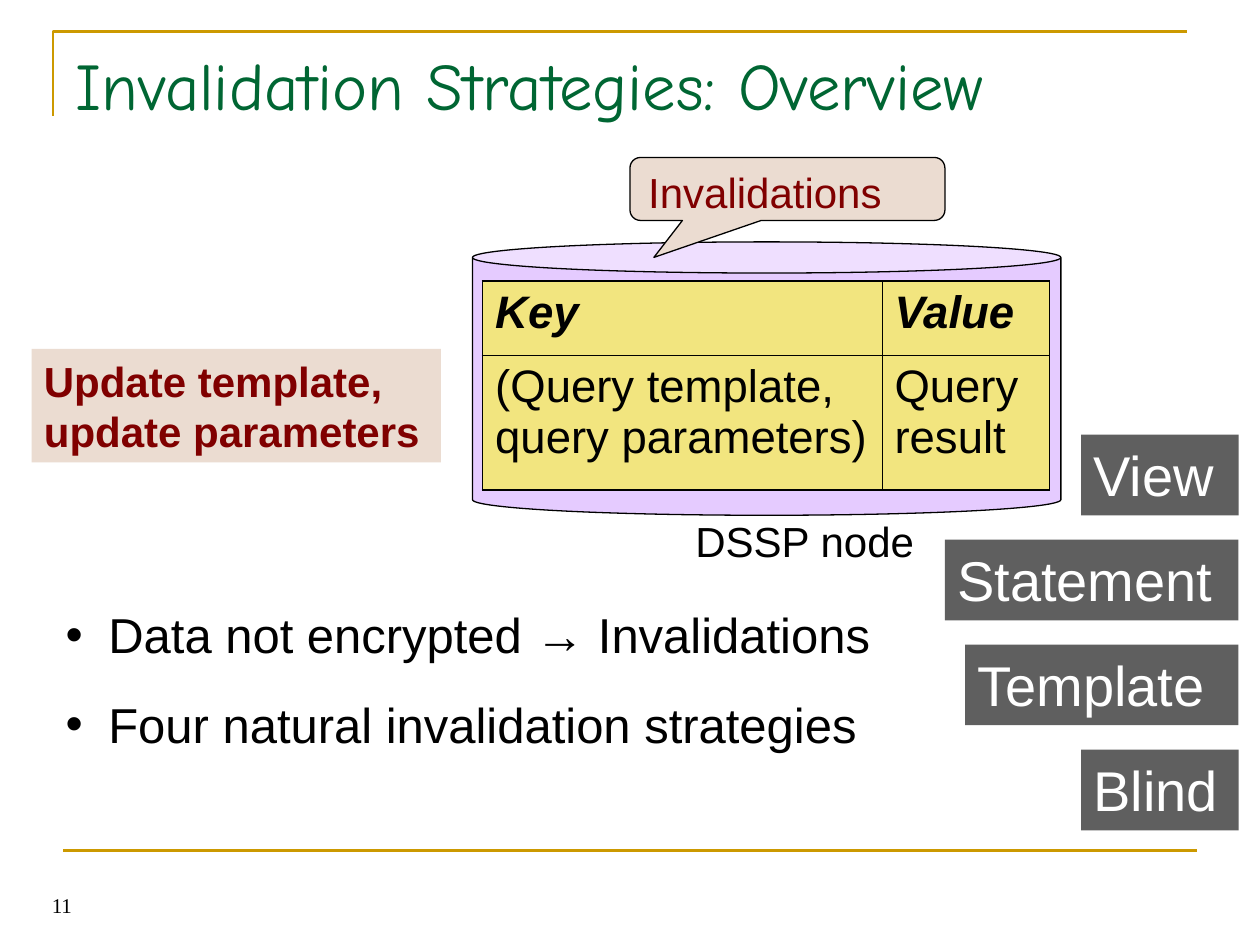
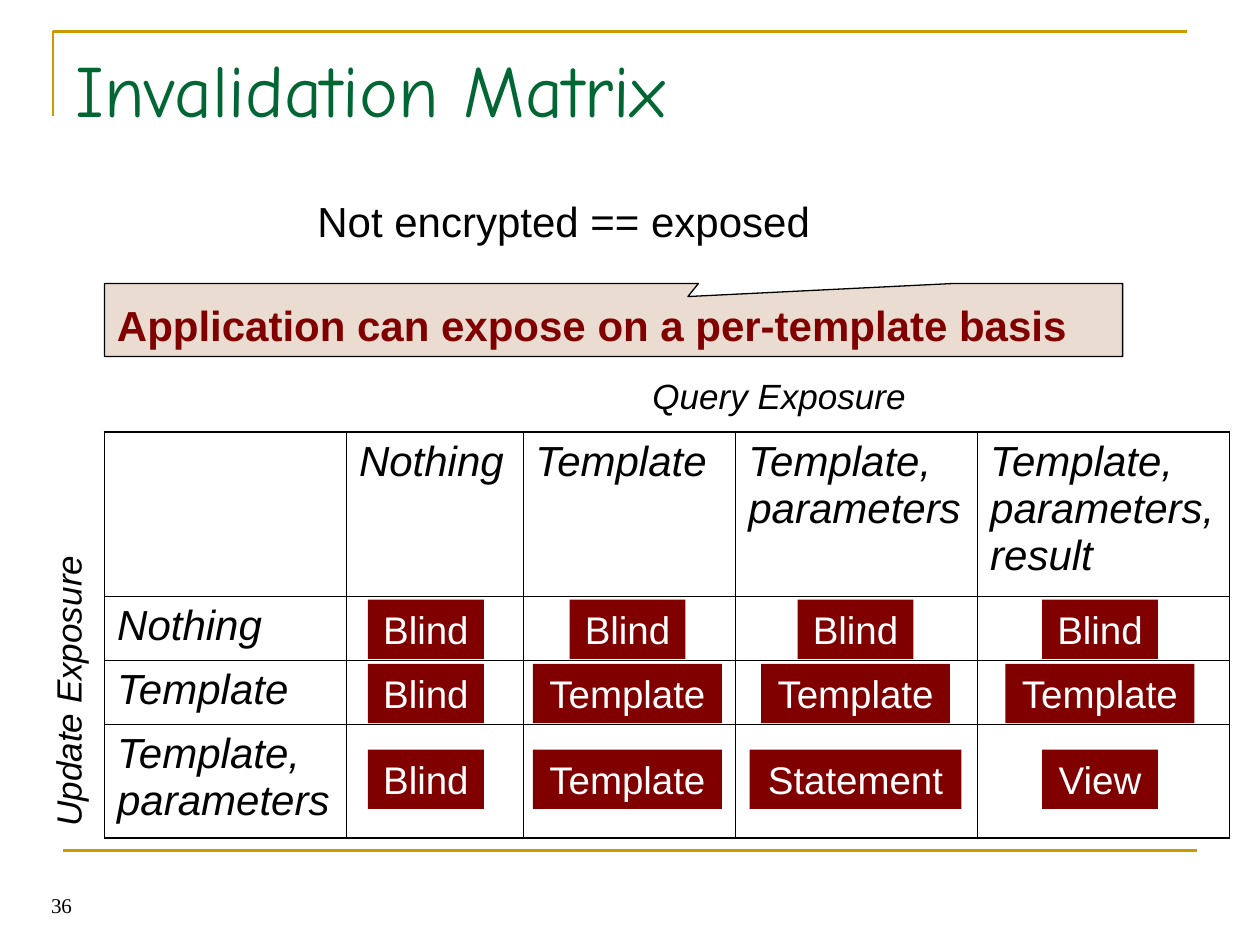
from lxml.etree import SubElement
from pptx import Presentation
from pptx.dml.color import RGBColor
from pptx.enum.shapes import MSO_CONNECTOR as Link, MSO_SHAPE as Kind
from pptx.enum.text import MSO_ANCHOR as Anchor, PP_ALIGN as Align
from pptx.oxml.ns import qn
from pptx.util import Inches, Pt

# Shared look
GOLD, GREEN, MAROON = "CC9900", "006633", "800000"
BEIGE, LILAC, YELLOW, GRAY = "EBDCD1", "CC99FF", "FFFF00", "5F5F5F"
BLACK, WHITE = "000000", "FFFFFF"
SANS, SERIF, HAND = "Arial", "Times New Roman", "Comic Neue"
THIN, THICK = 0.45, 1.08


def rgb(color):
    return RGBColor.from_string(color)


def lengths(*values):
    return [Inches(value) for value in values]


def style(font, size, color=BLACK, name=SANS, bold=False, italic=False):
    font.size, font.name = Pt(size), name
    font.bold, font.italic = bold, italic
    font.color.rgb = rgb(color)


def write(frame, text, size, align=Align.LEFT, **look):
    frame.text = text
    frame.vertical_anchor = Anchor.TOP
    par = frame.paragraphs[0]
    par.alignment = align
    style(par.font, size, **look)
    return par


def fade(node, percent):
    for color in node.iter(qn("a:srgbClr")):
        SubElement(color, qn("a:alpha"), val=str(percent * 1000))


def label(slide, box, text, size, **look):
    shape = slide.shapes.add_textbox(*lengths(*box))
    shape.text_frame.word_wrap = True
    write(shape.text_frame, text, size, **look)
    return shape


def block(slide, kind, box, fill, line=None, adjust=(), alpha=None):
    shape = slide.shapes.add_shape(kind, *lengths(*box))
    shape.shadow.inherit = False
    for i, value in enumerate(adjust):
        shape.adjustments[i] = value
    shape.fill.solid()
    shape.fill.fore_color.rgb = rgb(fill)
    if alpha:
        fade(shape.element.spPr, alpha)
    if line:
        shape.line.color.rgb = rgb(line)
        shape.line.width = Pt(0.75)
    else:
        shape.line.fill.background()
    return shape


def edge(cell, side, width):
    line = SubElement(cell._tc.get_or_add_tcPr(), qn("a:ln" + side),
                      w=str(int(Pt(width))))
    solid = SubElement(line, qn("a:solidFill"))
    SubElement(solid, qn("a:srgbClr"), val=BLACK)


def grid(slide, box, cols, rows, words, looks, fill=None):
    """Ruled table with a heavier outline; looks gives one style per row."""
    table = slide.shapes.add_table(len(rows), len(cols), *lengths(*box)).table
    table.first_row = table.horz_banding = False
    for col, width in zip(table.columns, cols):
        col.width = Inches(width)
    for r, (row, height) in enumerate(zip(table.rows, rows)):
        row.height = Inches(height)
        for c, cell in enumerate(row.cells):
            outer = {"L": c == 0, "R": c == len(cols) - 1,
                     "T": r == 0, "B": r == len(rows) - 1}
            for side, heavy in outer.items():
                edge(cell, side, THICK if heavy else THIN)
            if fill:
                cell.fill.solid()
                cell.fill.fore_color.rgb = rgb(fill)
                fade(cell._tc.tcPr.find(qn("a:solidFill")), 50)
            else:
                cell.fill.background()
            if words[r][c]:
                write(cell.text_frame, words[r][c], **looks[r])


def place(shape, box):
    shape.left, shape.top, shape.width, shape.height = lengths(*box)


def base(deck, layout, title, size, number):
    """Slide with the shared rules, title and page number."""
    slide = deck.slides.add_slide(deck.slide_layouts[layout])
    path = slide.shapes.build_freeform(*lengths(0.42, 0.92), scale=1.0)
    path.add_line_segments([lengths(0.42, 0.25), lengths(9.42, 0.25)],
                           close=False)
    corner = path.convert_to_shape()
    corner.shadow.inherit = False
    corner.fill.background()
    rule = slide.shapes.add_connector(Link.STRAIGHT,
                                      *lengths(0.5, 6.75, 9.5, 6.75))
    SubElement(rule._element.spPr, qn("a:effectLst"))
    for shape in (corner, rule):
        shape.line.color.rgb = rgb(GOLD)
        shape.line.width = Pt(1.5)
    place(slide.shapes.title, (0.5, 0.3, 9, 1.25))
    write(slide.shapes.title.text_frame, title, size, color=GREEN, name=HAND)
    page = label(slide, (0, 6.83, 0.67, 0.5), str(number), 12,
                 align=Align.RIGHT, name=SERIF)
    page.text_frame.vertical_anchor = Anchor.BOTTOM
    return slide


# Overview slide
def node(slide, left, top):
    """Cache drum with its table, name and callout."""
    block(slide, Kind.CAN, (left, top, 4.67, 2.17), LILAC, BLACK, [0.114], 50)
    label(slide, (left + 1.67, top + 2.12, 2, 0.5), "DSSP node", 24)
    call = block(slide, Kind.ROUNDED_RECTANGULAR_CALLOUT,
                 (left + 1.25, top - 0.67, 2.5, 0.5),
                 BEIGE, BLACK, [-0.424, 1.087, 0.167])
    call.text_frame.margin_left = Inches(0.12)
    write(call.text_frame, "Invalidations", 24, color=MAROON)
    grid(slide, (left + 0.08, top + 0.31, 4.5, 1.66), [3.17, 1.33],
         [0.59, 1.07],
         [["Key", "Value"],
          ["(Query template, query parameters)", "Query result"]],
         [dict(size=26, bold=True, italic=True), dict(size=26)], YELLOW)


def ladder(slide, right, top):
    """Strategy names, flush right."""
    steps = {"View": 1.25, "Statement": 2.33, "Template": 2.17, "Blind": 1.25}
    for i, (name, width) in enumerate(steps.items()):
        step = block(slide, Kind.RECTANGLE,
                     (right - width, top + i * 2.5 / 3, width, 0.64), GRAY)
        write(step.text_frame, name, 32, color=WHITE)


def points(body, box, items):
    place(body, box)
    frame = body.text_frame
    frame.text = "\n".join(items)
    frame.vertical_anchor = Anchor.TOP
    for i, par in enumerate(frame.paragraphs):
        props = par._p.get_or_add_pPr()
        indent = int(Inches(0.34))
        props.set("marL", str(indent))
        props.set("indent", str(-indent))
        SubElement(props, qn("a:buChar"), char="•")
        par.space_before = Pt(17.5 if i else 0)
        style(par.font, 28)


def overview(deck):
    slide = base(deck, 1, "Invalidation Strategies: Overview", 38, 11)
    update = block(slide, Kind.RECTANGLE, (0.25, 2.77, 3.25, 0.9), BEIGE)
    write(update.text_frame, "Update template, update parameters", 24,
          color=MAROON, bold=True)
    node(slide, 3.75, 1.92)
    ladder(slide, 9.83, 3.45)
    points(slide.placeholders[1], (0.42, 4.75, 6.83, 1.28),
           ["Data not encrypted → Invalidations",
            "Four natural invalidation strategies"])


# Matrix slide
def matrix(slide, left, top):
    """Exposure table with a strategy tag in each inner cell."""
    heads = ["Nothing", "Template", "Template, parameters",
             "Template, parameters, result"]
    cols, rows = [1.92, 1.4, 1.69, 1.92, 2], [1.3, 0.51, 0.51, 0.9]
    words = [[""] + heads] + [[head] + [""] * 4 for head in heads[:3]]
    grid(slide, (left, top, sum(cols), sum(rows)), cols, rows, words,
         [dict(size=24, italic=True)] * 4)

    tags = [["Blind"] * 4,
            ["Blind"] + ["Template"] * 3,
            ["Blind", "Template", "Statement", "View"]]
    wide = {"Template": 1.5, "Statement": 1.68}
    for names, y in zip(tags, (1.33, 1.84, 2.52)):
        for name, mid in zip(names, (2.55, 4.15, 5.96, 7.9)):
            width = wide.get(name, 0.92)
            tag = block(slide, Kind.RECTANGLE,
                        (left + mid - width / 2, top + y, width, 0.47), MAROON)
            write(tag.text_frame, name, 22, Align.CENTER, color=WHITE)

    # Axis names
    label(slide, (left + 4.25, top - 0.51, 2.33, 0.44), "Query Exposure", 20,
          italic=True)
    side = label(slide, (left - 1.5, top + 1.8, 2.42, 0.44),
                 "Update Exposure", 20, italic=True)
    side.rotation = 270


def exposure(deck):
    slide = base(deck, 5, "Invalidation Matrix", 42, 36)
    label(slide, (2.42, 1.5, 4.58, 0.5), "Not encrypted == exposed", 24)
    note = block(slide, Kind.RECTANGULAR_CALLOUT, (0.83, 2.25, 8.08, 0.58),
                 BEIGE, BLACK, [0.073, -0.321])
    par = write(note.text_frame,
                "Application can expose on a per-template basis", 24,
                color=MAROON, bold=True)
    par.line_spacing = 1.2
    matrix(slide, 0.83, 3.43)


def main():
    deck = Presentation()
    deck.slide_width, deck.slide_height = lengths(10, 7.5)
    overview(deck)
    exposure(deck)
    deck.save("out.pptx")


if __name__ == "__main__":
    main()
